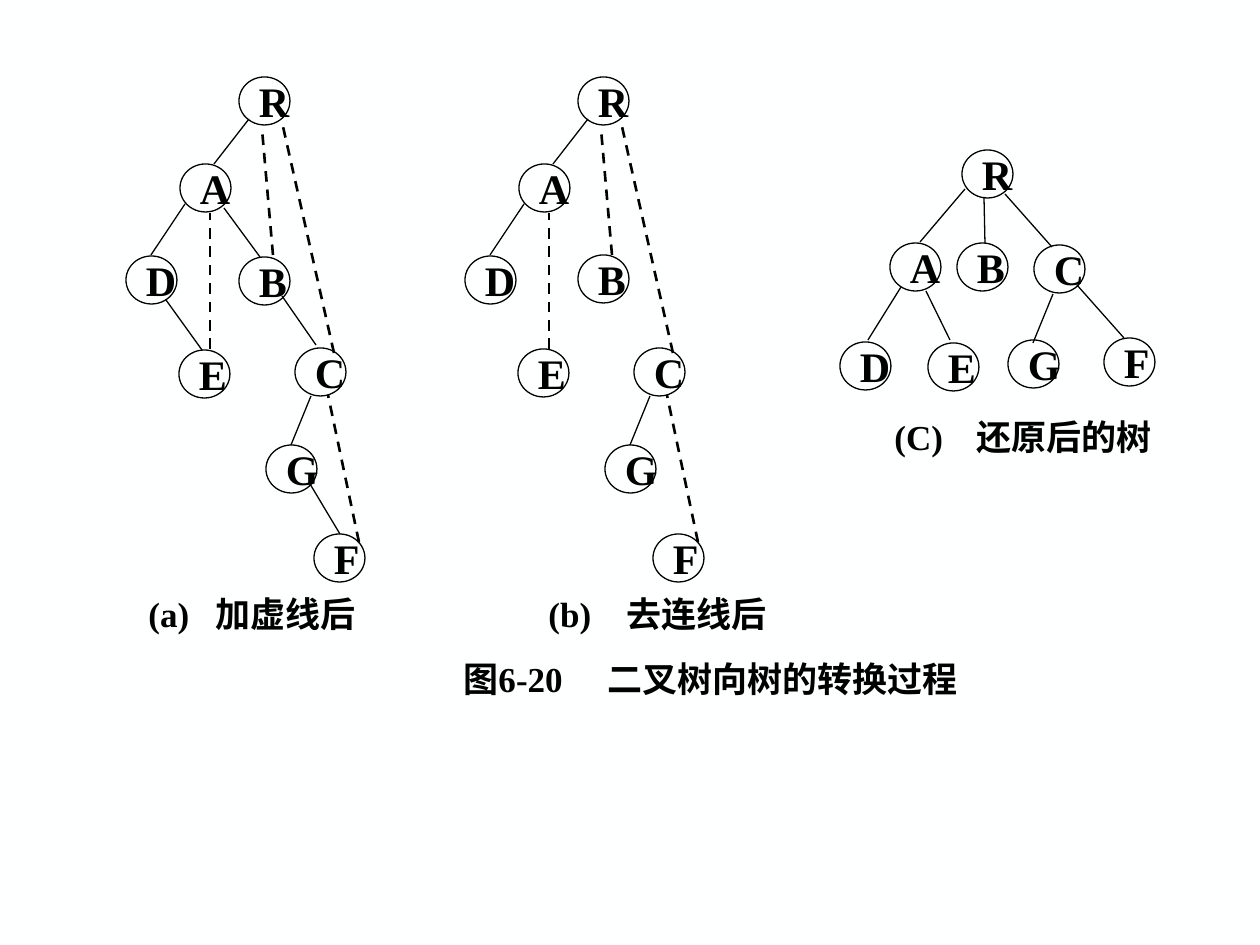
import pptx
import pptx.util
import pptx.dml.color
import pptx.enum.dml
import pptx.enum.shapes
import pptx.enum.text
import pptx.oxml.ns
import lxml.etree

PX = 914400 / 126
BLACK = pptx.dml.color.RGBColor(0, 0, 0)
PAPER = pptx.dml.color.RGBColor(0xFE, 0xFF, 0xFF)
FONT = "Times New Roman"
NODE_W, NODE_H = 51, 48


def px(n):
    return pptx.util.Emu(round(n * PX))


def sub(parent, tag, **attrs):
    return lxml.etree.SubElement(parent, pptx.oxml.ns.qn(tag), attrs)


def set_text(sp, text, size):
    tf = sp.text_frame
    tf.text = text
    tf.word_wrap = False
    tf.vertical_anchor = pptx.enum.text.MSO_ANCHOR.MIDDLE
    p = tf.paragraphs[0]
    p.alignment = pptx.enum.text.PP_ALIGN.LEFT
    for r in p.runs:
        r.font.name = FONT
        r.font.size = pptx.util.Pt(size)
        r.font.bold = True
        r.font.color.rgb = BLACK
    return p


def add_caption(s, x, y, w, h, text, tab):
    sp = s.shapes.add_textbox(px(x), px(y), px(w), px(h))
    p = set_text(sp, text, 20)
    sp.text_frame.margin_right = 0
    tabs = sub(p._p.get_or_add_pPr(), "a:tabLst")
    sub(tabs, "a:tab", pos=str(px(tab)), algn="l")


def add_node(s, x, y, label):
    sp = s.shapes.add_shape(pptx.enum.shapes.MSO_SHAPE.OVAL,
                            px(x), px(y), px(NODE_W), px(NODE_H))
    sp.shadow.inherit = False
    sp.fill.background()
    sp.line.color.rgb = BLACK
    sp.line.width = pptx.util.Pt(0.75)
    set_text(sp, label, 24)


def add_edge(s, x1, y1, x2, y2, dashed):
    c = s.shapes.add_connector(pptx.enum.shapes.MSO_CONNECTOR.STRAIGHT,
                               px(x1), px(y1), px(x2), px(y2))
    c.line.color.rgb = BLACK
    c.line.width = pptx.util.Pt(1.5 if dashed else 0.75)
    if dashed:
        c.line.dash_style = pptx.enum.dml.MSO_LINE.DASH
    sub(c._element.spPr, "a:effectLst")


def add_tree(s, left, top, nodes, solid, dashed, caption):
    for label, (x, y) in nodes.items():
        add_node(s, left + x, top + y, label)
    for edges, is_dashed in ((solid, False), (dashed, True)):
        for x1, y1, x2, y2 in edges:
            add_edge(s, left + x1, top + y1, left + x2, top + y2, is_dashed)
    x, y, w, h, text, tab = caption
    add_caption(s, left + x, top + y, w, h, text, tab)


BINARY_NODES = {
    "R": (113, 0), "A": (54, 87), "D": (0, 179), "B": (113, 180),
    "E": (53, 273), "C": (169, 271), "G": (140, 368), "F": (188, 457),
}
KEPT_EDGES = [(123, 42, 88, 87), (59, 127, 25, 178), (185, 319, 165, 368)]
REMOVED_EDGES = [(98, 131, 134, 180), (156, 219, 190, 268),
                 (40, 223, 76, 273), (184, 407, 214, 457)]
ADDED_EDGES = [(147, 178, 136, 52), (208, 276, 156, 45),
               (84, 272, 84, 136), (233, 465, 202, 318)]

RESTORED_NODES = {
    "R": (123, 0), "A": (51, 93), "B": (118, 93), "C": (195, 95),
    "D": (1, 192), "E": (89, 193), "G": (169, 190), "F": (265, 188),
}
RESTORED_EDGES = [
    (126, 39, 81, 92), (145, 47, 146, 93), (166, 44, 213, 97),
    (62, 137, 29, 190), (87, 141, 111, 190),
    (238, 135, 285, 188), (214, 144, 194, 193),
]


def main():
    prs = pptx.Presentation()
    prs.slide_width, prs.slide_height = px(1260), px(945)
    s = prs.slides.add_slide(prs.slide_layouts[6])
    s.background.fill.solid()
    s.background.fill.fore_color.rgb = PAPER

    add_tree(s, 126, 77, BINARY_NODES, KEPT_EDGES + REMOVED_EDGES,
             ADDED_EDGES, (10, 514, 236, 44, "(a)\t加虚线后", 67))
    add_tree(s, 465, 77, {**BINARY_NODES, "B": (113, 178), "E": (53, 272)},
             KEPT_EDGES, ADDED_EDGES,
             (71, 514, 247, 44, "(b)\t去连线后", 78))
    add_tree(s, 839, 150, RESTORED_NODES, RESTORED_EDGES, [],
             (43, 262, 288, 49, "(C)\t还原后的树", 82))
    add_caption(s, 451, 654, 522, 49, "图6-20\t二叉树向树的转换过程", 144)
    prs.save("out.pptx")


if __name__ == "__main__":
    main()
